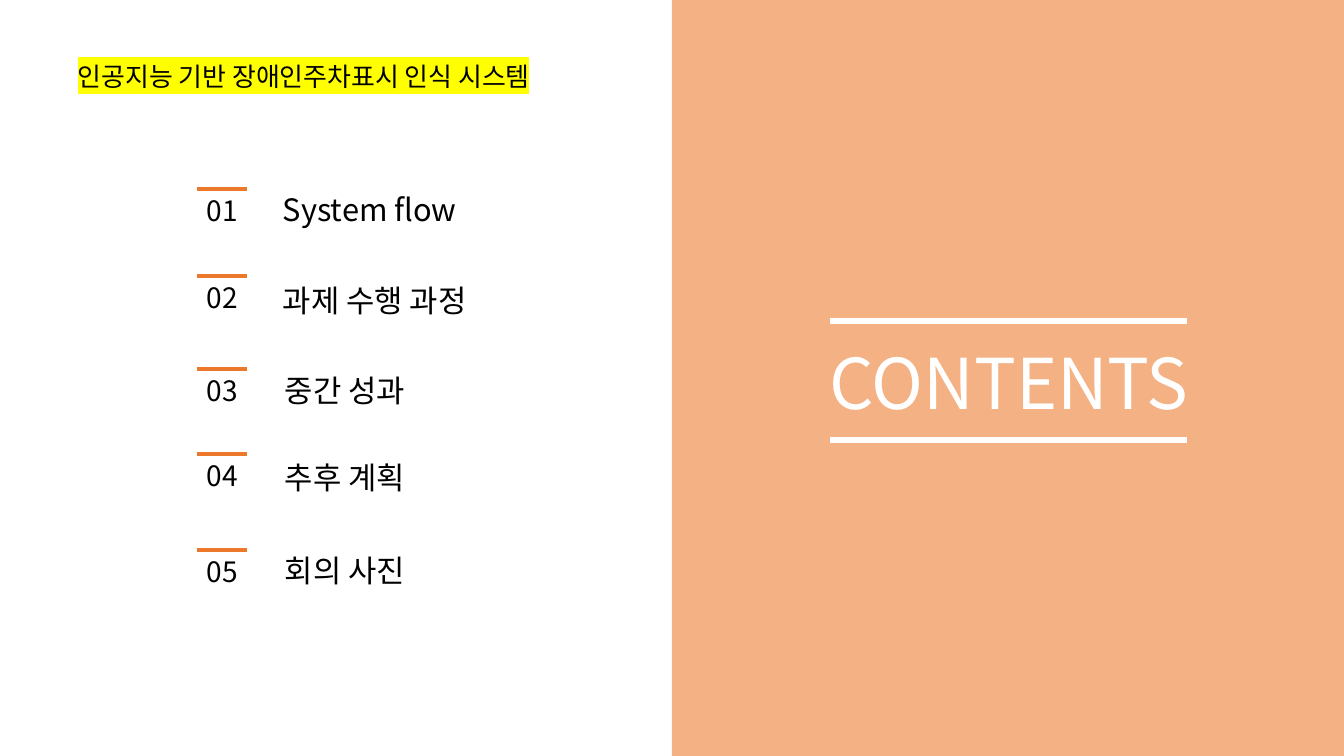
import pptx
import pptx.util
import pptx.dml.color
import pptx.enum.shapes
import pptx.enum.text
import pptx.oxml.ns
import lxml.etree

RGBColor = pptx.dml.color.RGBColor
PP_ALIGN = pptx.enum.text.PP_ALIGN
MSO_ANCHOR = pptx.enum.text.MSO_ANCHOR
qn = pptx.oxml.ns.qn

WHITE = RGBColor(0xFF, 0xFF, 0xFF)
BLACK = RGBColor(0x00, 0x00, 0x00)
PEACH = RGBColor(0xF4, 0xB1, 0x83)
ORANGE = RGBColor(0xEC, 0x79, 0x2B)
YELLOW = RGBColor(0xFF, 0xFF, 0x00)
FONT = "Noto Sans CJK KR"
W, H = 1344, 756

# Agenda entry, top of its rule, and left and top of its label, in px
AGENDA = [
    ("System flow", 189, 273, 186),
    ("과제 수행 과정", 276, 273, 277),
    ("중간 성과", 369, 275, 367),
    ("추후 계획", 454, 275, 454),
    ("회의 사진", 550, 275, 547),
]


def px(n):
    return pptx.util.Emu(round(n * 914400 / 100.8))


def add_text(slide, text, x, y, w, h, size=20, color=BLACK, align=PP_ALIGN.LEFT,
             anchor=MSO_ANCHOR.TOP, spacing=None, highlight=None):
    sp = slide.shapes.add_textbox(px(x), px(y), px(w), px(h))
    tf = sp.text_frame
    tf.word_wrap = True
    tf.vertical_anchor = anchor
    p = tf.paragraphs[0]
    p.alignment = align
    if spacing:
        p.line_spacing = spacing
    r = p.add_run()
    r.text = text
    r.font.size = pptx.util.Pt(size)
    r.font.color.rgb = color
    r.font.name = FONT
    latin = r.font._element.find(qn("a:latin"))
    ea = lxml.etree.Element(qn("a:ea"), typeface=FONT)
    latin.addnext(ea)
    if highlight is not None:
        mark = lxml.etree.Element(qn("a:highlight"))
        lxml.etree.SubElement(mark, qn("a:srgbClr"), val=str(highlight))
        latin.addprevious(mark)
    return sp


def add_rule(slide, x, y, w, color, weight):
    line = slide.shapes.add_connector(
        pptx.enum.shapes.MSO_CONNECTOR.STRAIGHT, px(x), px(y), px(x + w), px(y))
    line.line.color.rgb = color
    line.line.width = pptx.util.Pt(weight)
    lxml.etree.SubElement(line._element.spPr, qn("a:effectLst"))


def add_title(slide, x, y, w, h):
    add_text(slide, "인공지능 기반 장애인주차표시 인식 시스템", x, y, w, h, size=18.5,
             anchor=MSO_ANCHOR.MIDDLE, spacing=0.9, highlight=YELLOW)


def add_agenda(slide, x):
    for number, (label, y, label_x, label_y) in enumerate(AGENDA, 1):
        add_text(slide, f"{number:02}", x, y, 58, 44)
        add_rule(slide, x, y, 50, ORANGE, 2.25)
        add_text(slide, label, label_x, label_y, 213, 47, size=22)


def add_contents_panel(slide, x, y, w, h):
    sp = slide.shapes.add_shape(
        pptx.enum.shapes.MSO_SHAPE.RECTANGLE, px(x), px(y), px(w), px(h))
    sp.shadow.inherit = False
    sp.fill.solid()
    sp.fill.fore_color.rgb = PEACH
    sp.line.fill.background()

    # Heading between two rules
    add_text(slide, "CONTENTS", x + 1, y + 335, w, 95, size=50, color=WHITE,
             align=PP_ALIGN.CENTER)
    for rule_y in (321, 440):
        add_rule(slide, x + 158, y + rule_y, 357, WHITE, 4.5)


def main():
    prs = pptx.Presentation()
    prs.slide_width, prs.slide_height = px(W), px(H)
    slide = prs.slides.add_slide(prs.slide_layouts[6])
    slide.background.fill.solid()
    slide.background.fill.fore_color.rgb = WHITE

    add_title(slide, 68, 52, 544, 53)
    add_contents_panel(slide, W // 2, 0, W // 2, H)
    add_agenda(slide, 197)
    prs.save("out.pptx")


if __name__ == "__main__":
    main()
